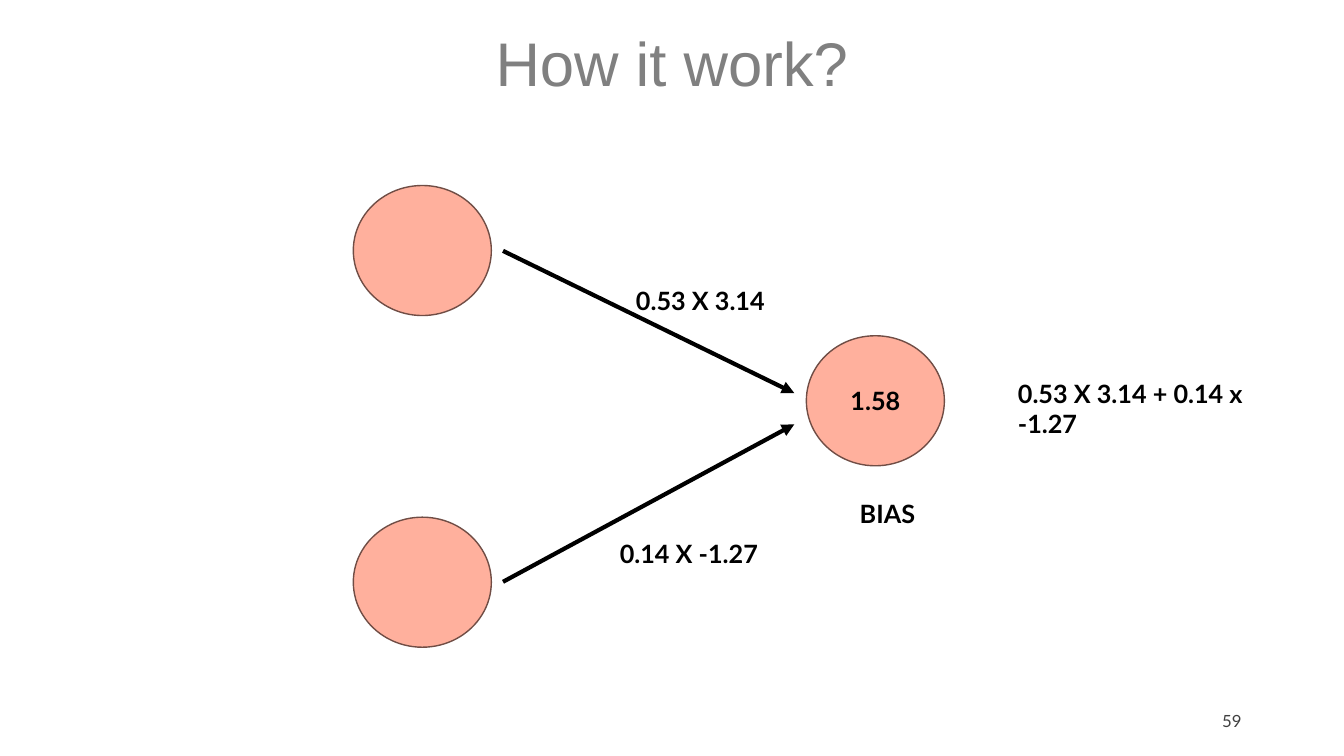
"""Builds a slide showing how two weighted inputs feed a neuron with a bias."""
from lxml import etree
from pptx import Presentation
from pptx import util as u
from pptx.dml.color import RGBColor
from pptx.enum import shapes, text
from pptx.oxml.ns import qn

COLORS = {
    "title": "808080",
    "number": "404040",
    "ink": "000000",
    "neuron": "FFB09D",
    "outline": "704D45",
}
LEFT, CENTER, RIGHT = text.PP_ALIGN.LEFT, text.PP_ALIGN.CENTER, text.PP_ALIGN.RIGHT
TOP, MIDDLE = text.MSO_ANCHOR.TOP, text.MSO_ANCHOR.MIDDLE


def write(shape, words, size=18, font="Lato", color="ink", bold=True,
          align=LEFT, anchor=TOP, spacing=1.0):
    frame = shape.text_frame
    frame.word_wrap = True
    frame.vertical_anchor = anchor
    paragraph = frame.paragraphs[0]
    paragraph.alignment = align
    paragraph.line_spacing = spacing
    run = paragraph.add_run()
    run.text = words
    run.font.size = u.Pt(size)
    run.font.name = font
    run.font.bold = bold
    run.font.color.rgb = RGBColor.from_string(COLORS[color])


presentation = Presentation()
presentation.slide_width = u.Pt(960)
presentation.slide_height = u.Pt(540)
slide = presentation.slides.add_slide(presentation.slide_layouts[6])

title = slide.shapes.add_textbox(u.Pt(66), u.Pt(-4.4), u.Pt(828), u.Pt(104.4))
write(title, "How it work?", size=44, font="Arial", color="title", bold=False,
      align=CENTER, anchor=MIDDLE, spacing=0.9)

number = slide.shapes.add_textbox(u.Pt(678), u.Pt(500.5), u.Pt(216), u.Pt(28.8))
write(number, "59", size=12, color="number", bold=False, align=RIGHT, anchor=MIDDLE)

for left, top, value in [(576, 239.8, "1.58"), (252.4, 132.5, ""), (252.4, 369.4, "")]:
    neuron = slide.shapes.add_shape(shapes.MSO_SHAPE.FLOWCHART_CONNECTOR,
                                    u.Pt(left), u.Pt(top), u.Pt(98.6), u.Pt(92.9))
    neuron.shadow.inherit = False
    neuron.fill.solid()
    neuron.fill.fore_color.rgb = RGBColor.from_string(COLORS["neuron"])
    neuron.line.color.rgb = RGBColor.from_string(COLORS["outline"])
    neuron.line.width = u.Pt(1)
    if value:
        write(neuron, value, align=CENTER, anchor=MIDDLE)

for start, end in [(179.2, 280.8), (415.6, 303.1)]:
    arrow = slide.shapes.add_connector(shapes.MSO_CONNECTOR.STRAIGHT,
                                       u.Pt(359.3), u.Pt(start), u.Pt(567.4), u.Pt(end))
    arrow.line.color.rgb = RGBColor.from_string(COLORS["ink"])
    arrow.line.width = u.Pt(3)
    etree.SubElement(arrow.line._get_or_add_ln(), qn("a:tailEnd"), type="triangle")
    etree.SubElement(arrow._element.spPr, qn("a:effectLst"))

for left, top, width, words in [
    (720, 266.4, 195.8, "0.53 X 3.14 + 0.14 x -1.27"),
    (435.6, 381, 118.8, "0.14 X -1.27"),
    (447.2, 200.2, 118.8, "0.53 X 3.14"),
    (607, 352.1, 118.8, "BIAS"),
]:
    label = slide.shapes.add_textbox(u.Pt(left), u.Pt(top), u.Pt(width), u.Pt(28.8))
    write(label, words)

presentation.save("out.pptx")
